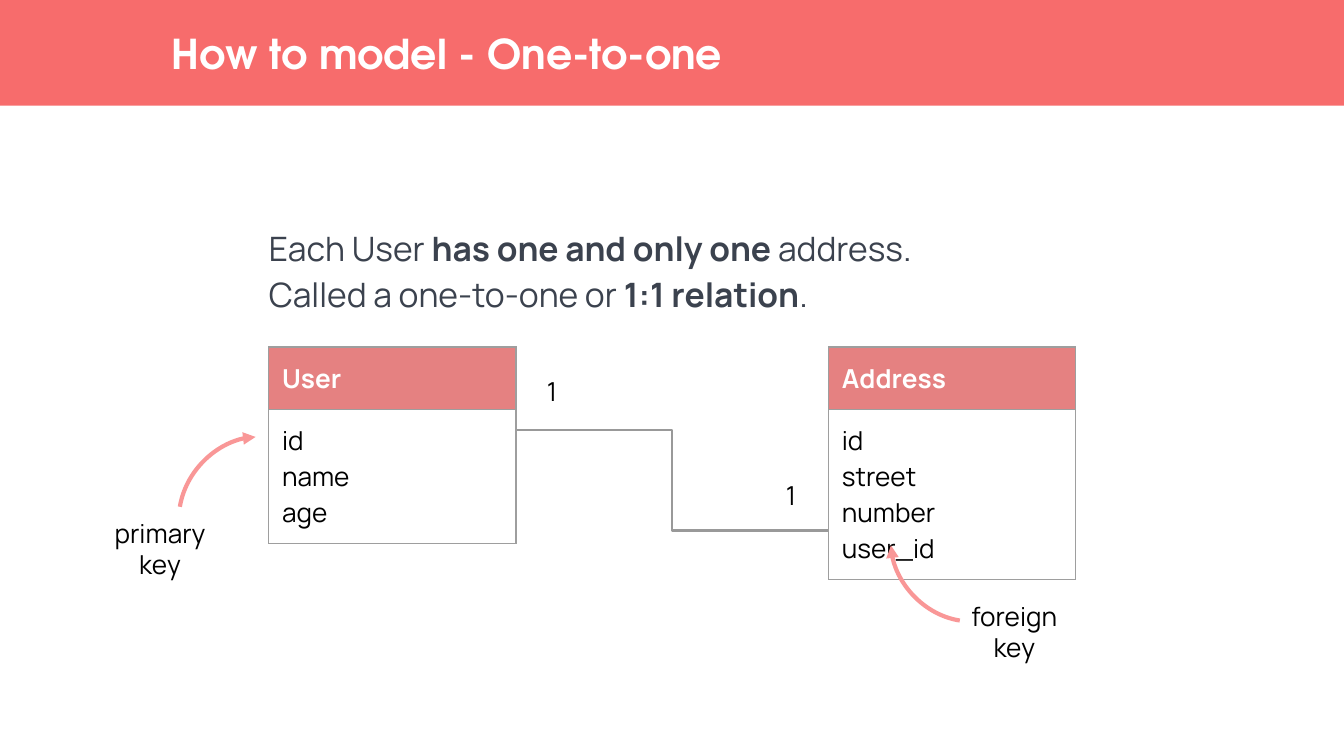
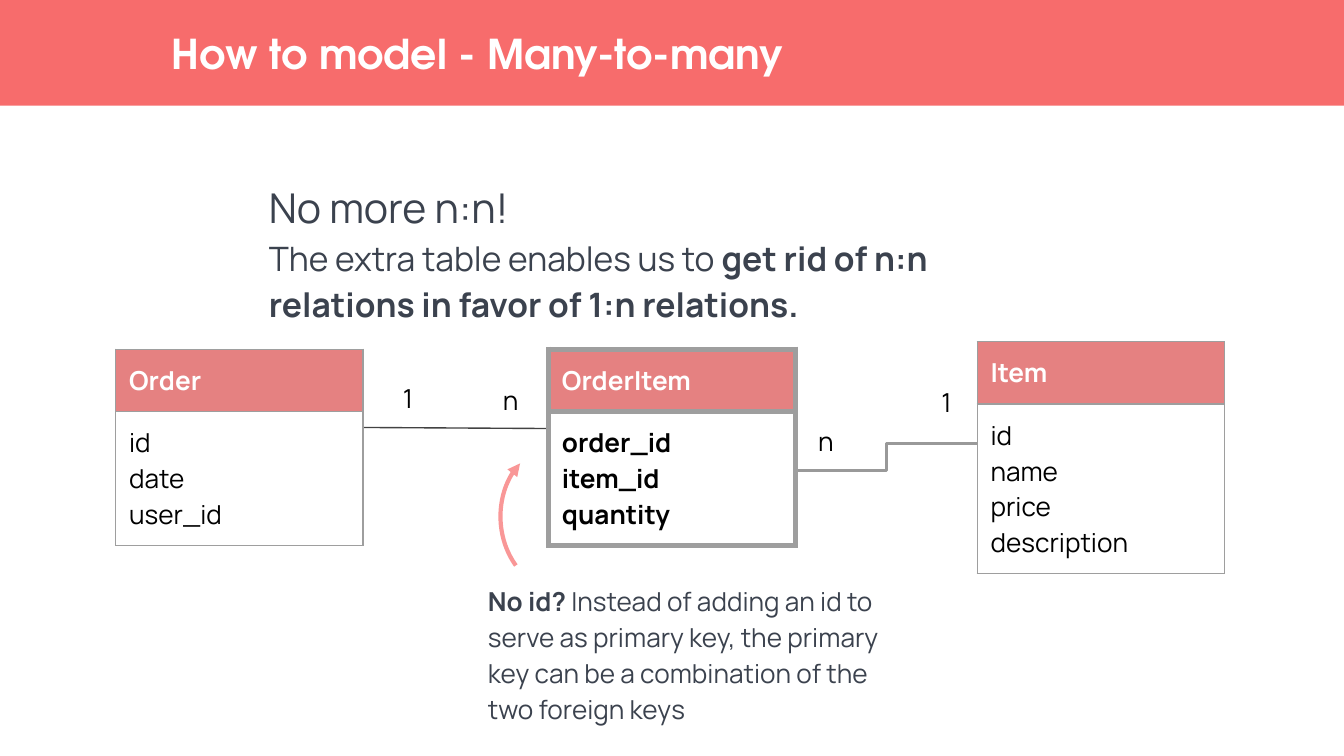
from dataclasses import dataclass
from typing import NamedTuple, Optional

import lxml.etree
import pptx
import pptx.dml.color
import pptx.enum.shapes
import pptx.enum.text
import pptx.oxml.ns
import pptx.util

Cm = pptx.util.Cm
Pt = pptx.util.Pt
RGB = pptx.dml.color.RGBColor.from_string
qn = pptx.oxml.ns.qn
ALIGN = pptx.enum.text.PP_ALIGN
CONNECTOR = pptx.enum.shapes.MSO_CONNECTOR


# Theme: colours, fonts and type sizes
@dataclass(frozen=True)
class Theme:
    band: str = "F76C6C"
    header: str = "E06666"
    header_alpha: int = 82
    border: str = "9E9E9E"
    relation: str = "999999"
    thin_relation: str = "424242"
    arrow: str = "F99797"
    white: str = "FFFFFF"
    black: str = "000000"
    body: str = "3B424E"
    title_font: str = "TeX Gyre Adventor"
    text_font: str = "Manrope"
    title_size: int = 22
    lead_size: int = 18
    small_size: int = 14


T = Theme()


# Repeated elements, with lengths in centimetres
class Box(NamedTuple):
    left: float
    top: float
    width: float
    height: float

    def emu(self) -> tuple:
        return tuple(Cm(v) for v in self)


class Run(NamedTuple):
    text: str
    bold: bool = False
    size: Optional[float] = None


@dataclass(frozen=True)
class Entity:
    name: str
    fields: tuple
    left: float
    top: float
    border: float = 0.75
    bold: bool = False


@dataclass(frozen=True)
class Relation:
    start: tuple
    end: tuple
    kind: int = CONNECTOR.ELBOW
    color: str = T.relation
    width: float = 1.5


@dataclass(frozen=True)
class Label:
    lines: tuple
    box: Box


@dataclass(frozen=True)
class Note:
    paragraphs: tuple
    box: Box
    size: float = T.lead_size
    space_after: float = 0


@dataclass(frozen=True)
class Page:
    title: str
    notes: tuple
    entities: tuple
    relations: tuple
    labels: tuple
    arrows: tuple  # each holds four Bézier points


BAND = Box(-0.05, 0, 25.5, 2)
TITLE = Box(3.25, 0, 18.03, 2)
ENTITY_WIDTH, ROW_HEIGHT, INSET = 4.67, 1.07, 0.25


def mark(left: float, top: float, text: str, width: float = 1.14) -> Label:
    """A cardinality beside a relation."""
    return Label((text,), Box(left, top, width, 1.12))


PAGES = (
    Page(
        title="How to model - One-to-one",
        notes=(
            Note(
                ((Run("Each User "), Run("has one and only one", True),
                  Run(" address. Called a one-to-one or"),
                  Run(" 1:1 relation", True), Run(".")),),
                Box(5.08, 3.96, 13.51, 2.21),
            ),
        ),
        entities=(
            Entity("User", ("id", "name", "age"), 5.08, 6.56),
            Entity("Address", ("id", "street", "number", "user_id"), 15.66, 6.56),
        ),
        relations=(Relation((9.75, 8.13), (15.65, 10.03)),),
        labels=(
            mark(9.86, 6.83, "1"),
            mark(14.38, 8.79, "1"),
            Label(("primary", "key"), Box(1.5, 9.58, 3.05, 1.57)),
            Label(("foreign", "key"), Box(17.25, 11.15, 3.84, 1.57)),
        ),
        arrows=(
            ((3.4, 9.58), (3.51, 8.92), (4.19, 8.26), (4.83, 8.26)),
            ((18.14, 11.73), (17.5, 11.63), (16.84, 10.95), (16.84, 10.31)),
        ),
    ),
    Page(
        title="How to model - Many-to-many",
        notes=(
            Note(
                ((Run("No more n:n!", size=T.title_size),),
                 (Run("The extra table enables us to "),
                  Run("get rid of n:n relations in favor of 1:n relations.", True))),
                Box(5.08, 3.05, 15.24, 3.35),
                space_after=10,
            ),
            Note(
                ((Run("No id?", True),
                  Run(" Instead of adding an id to serve as primary key, the primary "
                      "key can be a combination of the two foreign keys")),),
                Box(9.22, 10.67, 8.1, 3.35),
                size=T.small_size,
            ),
        ),
        entities=(
            Entity("Order", ("id", "date", "user_id"), 2.19, 6.6),
            Entity("Item", ("id", "name", "price", "description"), 18.47, 6.46),
            Entity("OrderItem", ("order_id", "item_id", "quantity"), 10.37, 6.6,
                   border=3, bold=True),
        ),
        relations=(
            Relation((15.04, 8.89), (18.47, 8.38)),
            Relation((6.86, 8.08), (10.39, 8.1), CONNECTOR.STRAIGHT,
                     T.thin_relation, 0.75),
        ),
        labels=(
            mark(6.86, 6.96, "1", 1.7),
            mark(8.94, 7.01, "n", 1.42),
            mark(15.04, 7.77, "n"),
            mark(17.32, 7.04, "1"),
        ),
        arrows=(((9.75, 10.69), (9.37, 10.16), (9.37, 9.22), (9.83, 8.76)),),
    ),
)


# Text
def write(tf, paragraphs, *, size: float = T.small_size, color: str = T.black,
          font: str = T.text_font, align=ALIGN.LEFT, inset: float = 0,
          spacing: float = 1.0, space_after: float = 0) -> None:
    """Fill a middle-anchored text frame; each paragraph is a tuple of runs."""
    tf.word_wrap = True
    tf.auto_size = pptx.enum.text.MSO_AUTO_SIZE.NONE
    tf.vertical_anchor = pptx.enum.text.MSO_ANCHOR.MIDDLE
    tf.margin_left = tf.margin_right = tf.margin_top = tf.margin_bottom = Cm(inset)
    write_paragraphs(tf, paragraphs, size=size, color=color, font=font, align=align,
                     spacing=spacing)
    tf.paragraphs[-1].space_after = Pt(space_after)


def write_paragraphs(tf, paragraphs, *, size: float = T.small_size,
                     color: str = T.black, font: str = T.text_font,
                     align=ALIGN.LEFT, spacing: float = 1.0) -> None:
    for i, runs in enumerate(paragraphs):
        p = tf.add_paragraph() if i else tf.paragraphs[0]
        p.alignment, p.line_spacing = align, spacing
        p.space_before = p.space_after = Pt(0)
        pPr = p._p.get_or_add_pPr()
        pPr.set("marL", "0")
        pPr.set("indent", "0")
        lxml.etree.SubElement(pPr, qn("a:buNone"))
        for run in runs:
            r = p.add_run()
            r.text = run.text
            r.font.name, r.font.bold = font, run.bold
            r.font.size = Pt(run.size or size)
            r.font.color.rgb = RGB(color)


def place(sp, box: Box) -> None:
    sp.left, sp.top, sp.width, sp.height = box.emu()


# Diagram parts
def draw_band(slide) -> None:
    """Draw the title band and move it to the shared layout."""
    sp = slide.shapes.add_shape(pptx.enum.shapes.MSO_SHAPE.RECTANGLE, *BAND.emu())
    sp.shadow.inherit = False
    sp.fill.solid()
    sp.fill.fore_color.rgb = RGB(T.band)
    sp.line.fill.background()
    slide.slide_layout.shapes.element.insert(2, sp.element)


def set_borders(cell, width: float) -> None:
    tcPr = cell._tc.get_or_add_tcPr()
    for side in ("L", "R", "T", "B"):
        ln = lxml.etree.SubElement(tcPr, qn(f"a:ln{side}"), w=str(Pt(width)))
        fill = lxml.etree.SubElement(ln, qn("a:solidFill"))
        lxml.etree.SubElement(fill, qn("a:srgbClr"), val=T.border)


def draw_entity(slide, entity: Entity) -> None:
    box = Box(entity.left, entity.top, ENTITY_WIDTH, 2 * ROW_HEIGHT)
    table = slide.shapes.add_table(2, 1, *box.emu()).table
    table.first_row = table.horz_banding = False
    header, body = table.cell(0, 0), table.cell(1, 0)
    for cell in (header, body):
        cell.margin_left = cell.margin_right = Cm(INSET)
        cell.margin_top = cell.margin_bottom = Cm(INSET)
        set_borders(cell, entity.border)
    header.fill.solid()
    header.fill.fore_color.rgb = RGB(T.header)
    color = header._tc.tcPr.find(f"{qn('a:solidFill')}/{qn('a:srgbClr')}")
    lxml.etree.SubElement(color, qn("a:alpha"), val=str(T.header_alpha * 1000))
    body.fill.background()
    write_paragraphs(header.text_frame, ((Run(entity.name, True),),), color=T.white)
    write_paragraphs(body.text_frame, [(Run(f, entity.bold),) for f in entity.fields])


def draw_relation(slide, relation: Relation) -> None:
    ends = [Cm(v) for v in relation.start + relation.end]
    cx = slide.shapes.add_connector(relation.kind, *ends)
    cx.line.color.rgb = RGB(relation.color)
    cx.line.width = Pt(relation.width)
    lxml.etree.SubElement(cx.element.spPr, qn("a:effectLst"))


def draw_label(slide, label: Label) -> None:
    sp = slide.shapes.add_textbox(*label.box.emu())
    write(sp.text_frame, [(Run(line),) for line in label.lines],
          align=ALIGN.CENTER, inset=INSET)


def draw_arrow(slide, points: tuple) -> None:
    """Draw one cubic Bézier curve with an arrowhead at its end."""
    start, *rest = [(Cm(x), Cm(y)) for x, y in points]
    builder = slide.shapes.build_freeform(*start)
    builder.add_line_segments(rest, close=False)
    sp = builder.convert_to_shape()
    sp.shadow.inherit = False
    sp.fill.background()
    sp.line.color.rgb = RGB(T.arrow)
    sp.line.width = Pt(2.25)
    ln = sp.element.spPr.find(qn("a:ln"))
    lxml.etree.SubElement(ln, qn("a:tailEnd"), type="triangle")
    # Turn the three segments into one curve
    outline = next(sp.element.iter(qn("a:path")))
    curve = lxml.etree.SubElement(outline, qn("a:cubicBezTo"))
    for segment in outline.findall(qn("a:lnTo")):
        curve.append(segment[0])
        outline.remove(segment)


def build_page(slide, page: Page) -> None:
    title, *bodies = list(slide.placeholders)
    place(title, TITLE)
    write(title.text_frame, ((Run(page.title, True),),), size=T.title_size,
          color=T.white, font=T.title_font)
    for sp, note in zip(bodies, page.notes):
        place(sp, note.box)
        write(sp.text_frame, note.paragraphs, size=note.size, color=T.body,
              spacing=1.15, space_after=note.space_after)
    for sp in bodies[len(page.notes):]:
        sp.element.getparent().remove(sp.element)
    for draw, items in ((draw_relation, page.relations), (draw_entity, page.entities),
                        (draw_label, page.labels), (draw_arrow, page.arrows)):
        for item in items:
            draw(slide, item)


def main() -> None:
    prs = pptx.Presentation()
    prs.slide_width, prs.slide_height = Cm(25.4), Cm(14.29)
    layout = prs.slide_layouts.get_by_name("Two Content")
    slides = [prs.slides.add_slide(layout) for _ in PAGES]
    draw_band(slides[0])
    for slide, page in zip(slides, PAGES):
        build_page(slide, page)
    prs.save("out.pptx")


if __name__ == "__main__":
    main()
